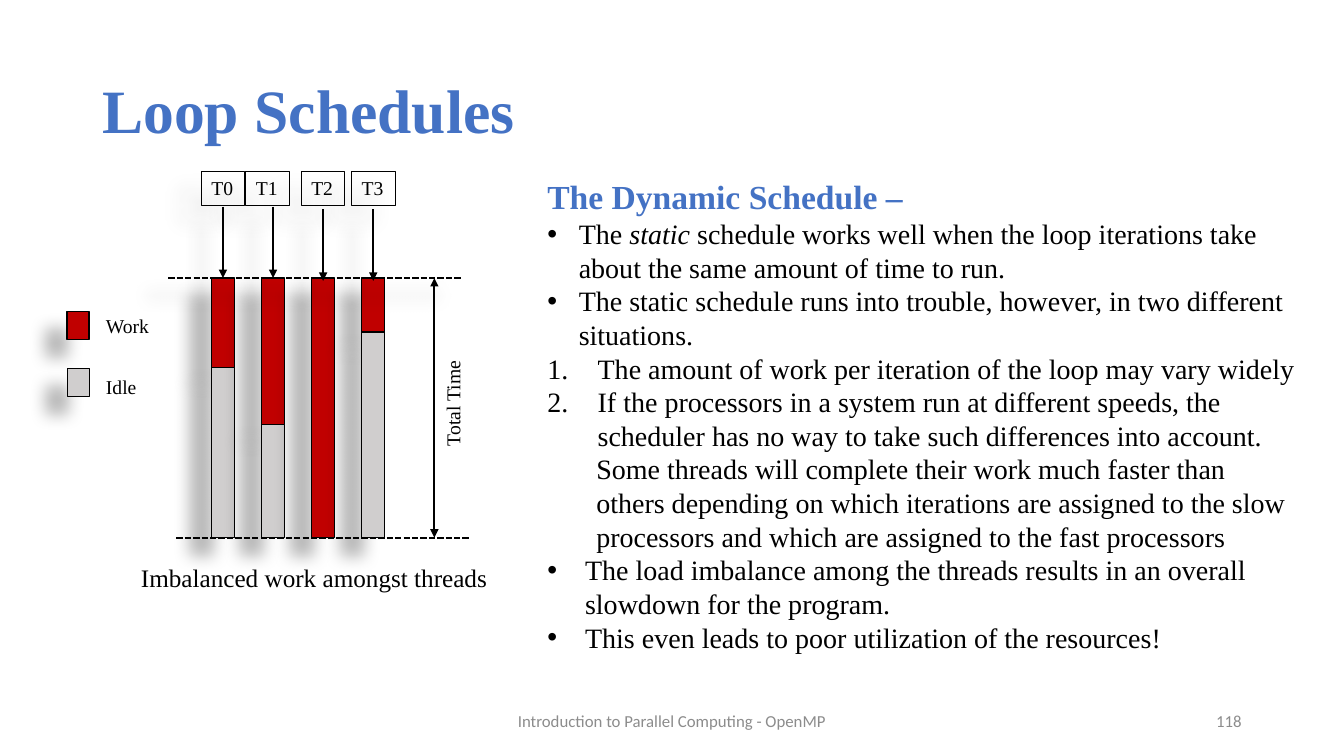
from dataclasses import dataclass

from lxml.etree import SubElement
from pptx import Presentation
from pptx.dml.color import RGBColor as RGB
from pptx.enum.dml import MSO_LINE as Dash
from pptx.enum.shapes import MSO_CONNECTOR as Conn, MSO_SHAPE as Shape
from pptx.enum.text import MSO_ANCHOR as Anchor, PP_ALIGN as Align
from pptx.oxml.ns import qn
from pptx.util import Pt


@dataclass(frozen=True)
class Theme:
    serif: str = "Times New Roman"
    sans: str = "Calibri"
    blue: str = "4472C4"
    black: str = "000000"
    grey: str = "8C8C8C"
    work: str = "C00000"
    idle: str = "D0CECE"
    title: int = 44
    heading: int = 24
    body: int = 20
    caption: int = 18
    label: int = 14
    footer: int = 12


T = Theme()

# Chart geometry: name, label left, arrow top, end of work
THREADS = [
    ("T0", 144, 147.6, 262.4),
    ("T1", 175.7, 147.6, 303.1),
    ("T2", 215.3, 149.6, 384),
    ("T3", 251.3, 149.6, 237.2),
]
BAR_LEFT, BAR_STEP, BAR_WIDTH = 151, 35.8, 16.5
TOP, BOTTOM = 198.7, 384

# Body paragraphs: text, left margin, hanging indent, bullet
DOT, NUMBER = "•", "arabicPeriod"
BODY = [
    ("The |static |schedule works well when the loop iterations take about "
     "the same amount of time to run.", 22.5, 22.5, DOT),
    ("The static schedule runs into trouble, however, in two different "
     "situations.", 22.5, 22.5, DOT),
    ("The amount of work per iteration of the loop may vary widely",
     36, 36, NUMBER),
    ("If the processors in a system run at different speeds, the scheduler "
     "has no way to take such differences into account.", 36, 36, NUMBER),
    ("Some threads will complete their work much faster than", 35, 0, None),
    ("others depending on which iterations are assigned to the slow",
     35, 0, None),
    ("processors and which are assigned to the fast processors",
     35, 0, None),
    ("The load imbalance among the threads results in an overall slowdown "
     "for the program.", 27, 27, DOT),
    ("This even leads to poor utilization of the resources!", 27, 27, DOT),
]


def style(font, size, color=T.black, name=T.serif, bold=False, italic=False):
    font.size, font.name = Pt(size), name
    font.bold, font.italic = bold, italic
    font.color.rgb = RGB.from_string(color)


def add_text(s, text, x, y, w, h, size, align=Align.LEFT, anchor=Anchor.TOP,
             wrap=True, spacing=None, rotation=0, **fmt):
    sp = s.shapes.add_textbox(Pt(x), Pt(y), Pt(w), Pt(h))
    sp.rotation = rotation
    tf = sp.text_frame
    tf.word_wrap, tf.vertical_anchor = wrap, anchor
    p = tf.paragraphs[0]
    p.alignment = align
    if spacing:
        p.line_spacing = spacing
    r = p.add_run()
    r.text = text
    style(r.font, size, **fmt)
    return tf


def add_bullet(p, margin, hang, bullet):
    pPr = p._p.get_or_add_pPr()
    pPr.set("marL", str(Pt(margin)))
    pPr.set("indent", str(-Pt(hang)))
    if bullet == DOT:
        SubElement(pPr, qn("a:buFont"), typeface="Arial")
        SubElement(pPr, qn("a:buChar"), char=DOT)
    elif bullet:
        SubElement(pPr, qn("a:buAutoNum"), type=bullet)
    else:
        SubElement(pPr, qn("a:buNone"))


def add_effects(sp, shadow):
    """Add the effect list, which must follow the line settings."""
    effects = SubElement(sp._element.spPr, qn("a:effectLst"))
    if shadow:
        outer = SubElement(effects, qn("a:outerShdw"), blurRad=str(Pt(11.8)),
                           dist=str(Pt(19.7)), dir=str(141 * 60000),
                           algn="ctr", rotWithShape="0")
        color = SubElement(outer, qn("a:srgbClr"), val=T.black)
        SubElement(color, qn("a:alpha"), val="28000")


def add_box(s, x, y, w, h, fill=None, line=1, text=None):
    sp = s.shapes.add_shape(Shape.RECTANGLE, Pt(x), Pt(y), Pt(w), Pt(h))
    if fill:
        sp.fill.solid()
        sp.fill.fore_color.rgb = RGB.from_string(fill)
    else:
        sp.fill.background()
    sp.line.color.rgb = RGB.from_string(T.black)
    sp.line.width = Pt(line)
    add_effects(sp, True)
    if text:
        tf = sp.text_frame
        tf.vertical_anchor = Anchor.TOP
        p = tf.paragraphs[0]
        p.alignment = Align.LEFT
        r = p.add_run()
        r.text = text
        style(r.font, T.label)


def add_line(s, x1, y1, x2, y2, dashed=False, ends=(), shadow=False):
    c = s.shapes.add_connector(Conn.STRAIGHT, Pt(x1), Pt(y1), Pt(x2), Pt(y2))
    c.line.color.rgb = RGB.from_string(T.black)
    c.line.width = Pt(1.5)
    if dashed:
        c.line.dash_style = Dash.SQUARE_DOT
    for end in ends:
        SubElement(c.line._get_or_add_ln(), qn(f"a:{end}"), type="triangle")
    add_effects(c, shadow)


def add_body(s):
    tf = add_text(s, "The Dynamic Schedule –", 383.8, 122.4, 555.1, 351.4,
                  T.heading, color=T.blue, bold=True)
    for text, margin, hang, bullet in BODY:
        p = tf.add_paragraph()
        add_bullet(p, margin, hang, bullet)
        for i, part in enumerate(text.split("|")):
            r = p.add_run()
            r.text = part
            style(r.font, T.body, italic=i == 1)


def add_thread_chart(s):
    # Work and idle bars
    for i, (name, left, arrow_top, end) in enumerate(THREADS):
        x = BAR_LEFT + i * BAR_STEP
        add_box(s, x, TOP, BAR_WIDTH, end - TOP, T.work)
        if end < BOTTOM:
            add_box(s, x, end, BAR_WIDTH, BOTTOM - end, T.idle)

    # Start, finish and total time
    add_line(s, 126, BOTTOM, 334.8, BOTTOM, dashed=True)
    add_line(s, 120.2, TOP, 329, TOP, dashed=True, shadow=True)
    add_line(s, 310.3, TOP, 310.3, BOTTOM, ends=("headEnd", "tailEnd"))
    add_text(s, "Total Time", 285.8, 275.8, 75.6, 24.5, T.label,
             wrap=False, rotation=270)

    # Thread labels and arrows
    for i, (name, left, arrow_top, end) in enumerate(THREADS):
        x = BAR_LEFT + i * BAR_STEP + BAR_WIDTH / 2
        add_line(s, x, arrow_top, x, arrow_top + 51, ends=("tailEnd",),
                 shadow=True)
        add_box(s, left, 122.4, 31, 24.5, line=0.75, text=name)


def add_legend(s):
    add_box(s, 47.8, 222.5, 15.8, 20.2, T.work)
    add_box(s, 48.2, 263.2, 15.8, 20.2, T.idle)
    add_text(s, "Work", 68.6, 220.6, 45.4, 24.5, T.label, wrap=False)
    add_text(s, "Idle", 68.6, 264.2, 36.7, 24.5, T.label, wrap=False)


def main():
    prs = Presentation()
    prs.slide_width, prs.slide_height = Pt(960), Pt(540)
    s = prs.slides.add_slide(prs.slide_layouts[6])

    # Title and body
    add_text(s, "Loop Schedules", 66, 28.8, 828, 104.4, T.title,
             anchor=Anchor.MIDDLE, spacing=0.9, color=T.blue, bold=True)
    add_body(s)

    # Diagram
    add_thread_chart(s)
    add_legend(s)
    add_text(s, "Imbalanced work amongst threads", 93.6, 398.2, 262.1, 28.8,
             T.caption)

    # Footer
    footer = dict(size=T.footer, anchor=Anchor.MIDDLE, color=T.grey,
                  name=T.sans)
    add_text(s, "Introduction to Parallel Computing - OpenMP", 318, 500.4,
             324, 28.8, align=Align.CENTER, **footer)
    add_text(s, "118", 678, 500.4, 216, 28.8, align=Align.RIGHT, **footer)

    prs.save("out.pptx")


if __name__ == "__main__":
    main()
